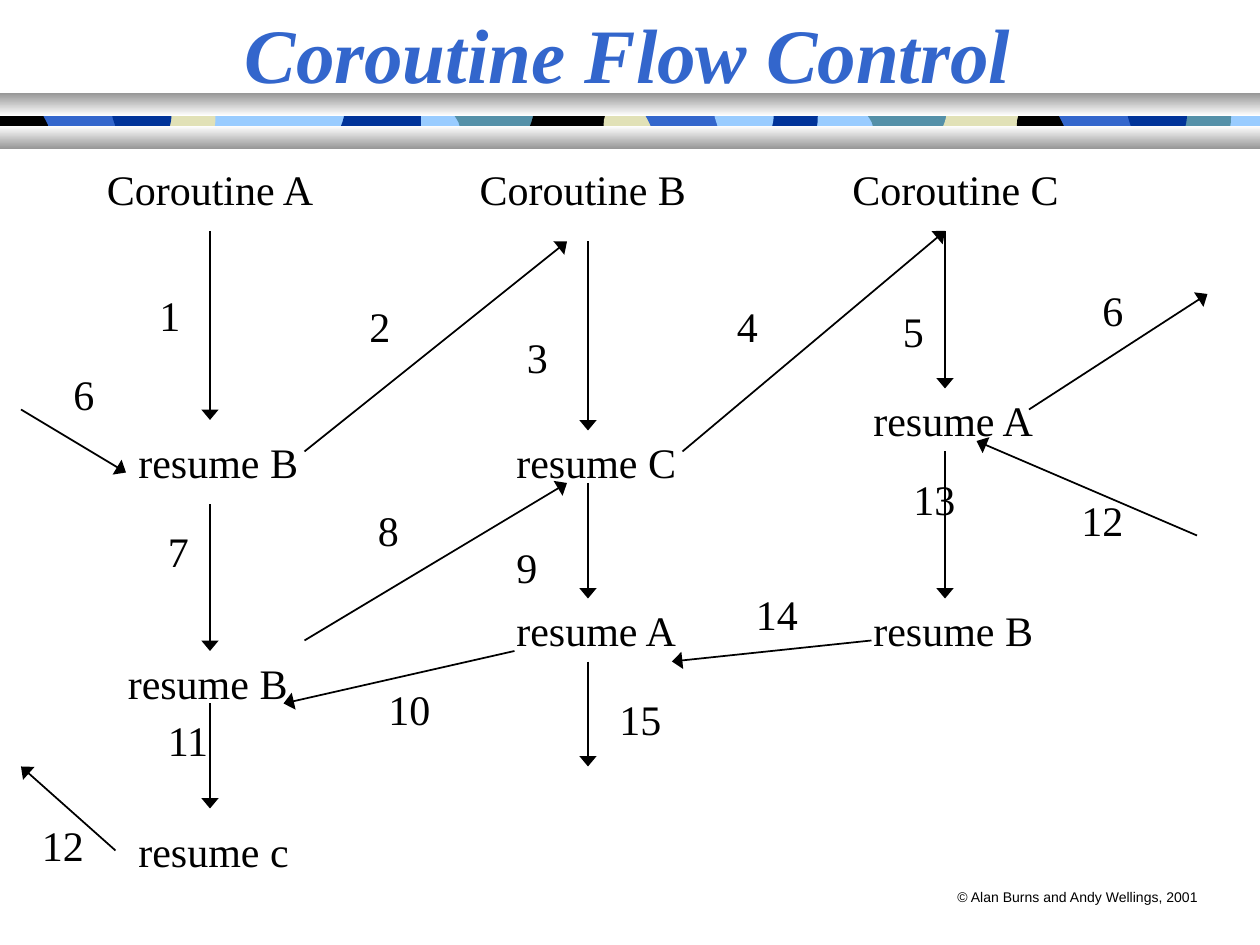
from typing import NamedTuple

from pptx import Presentation
from pptx.dml.color import RGBColor
from pptx.enum.shapes import MSO_CONNECTOR, MSO_SHAPE
from pptx.enum.text import MSO_ANCHOR, MSO_AUTO_SIZE, PP_ALIGN
from pptx.oxml.ns import qn
from pptx.util import Inches, Pt
from lxml.etree import SubElement

BLACK = RGBColor(0x00, 0x00, 0x00)
WHITE = RGBColor(0xFF, 0xFF, 0xFF)
GREY = RGBColor(0x98, 0x98, 0x98)
BLUE = RGBColor(0x33, 0x66, 0xCC)
NAVY = RGBColor(0x00, 0x33, 0x99)
SKY = RGBColor(0x99, 0xCC, 0xFF)
TEAL = RGBColor(0x54, 0x90, 0xA8)
SAND = RGBColor(0xE1, 0xE1, 0xB7)
SERIF = "Times New Roman"

# The slide is a grid of 120 columns and 90 rows
COLS, ROWS = 120, 90
WIDE, HIGH = Inches(10), Inches(7.5)


def grid_x(col: float) -> int:
    return round(WIDE * col / COLS)


def grid_y(row: float) -> int:
    return round(HIGH * row / ROWS)


class Label(NamedTuple):
    text: str
    col: float
    row: float
    width: float  # columns


class Arrow(NamedTuple):
    col: float
    row: float
    to_col: float
    to_row: float


HEAD, CALL = 22.1, 17.65
NAMES = [
    Label("Coroutine A", 9, 15, HEAD), Label("Coroutine B", 44.5, 15, HEAD),
    Label("Coroutine C", 80, 15, HEAD),
    Label("resume B", 12, 41, CALL), Label("resume B", 11, 62, CALL),
    Label("resume c", 12, 78, 16.7), Label("resume C", 48, 41, CALL),
    Label("resume A", 48, 57, CALL), Label("resume A", 82, 37, CALL),
    Label("resume B", 82, 57, CALL),
]

# Step number, column, row
STEPS = [
    (1, 14, 27), (2, 34, 28), (3, 49, 31), (4, 69, 28), (5, 84.8, 28.5),
    (6, 103.8, 26.5), (6, 5.8, 34.5), (7, 14.8, 49.5), (8, 34.8, 47.5),
    (9, 48, 51), (10, 35.8, 64.5), (11, 14.8, 67.5), (12, 2.8, 77.5),
    (12, 101.8, 46.5), (13, 85.8, 44.5), (14, 70.8, 55.5), (15, 57.8, 65.5),
]

ARROWS = [
    # Down each coroutine
    Arrow(20, 22, 20, 40), Arrow(20, 48, 20, 62), Arrow(20, 67, 20, 77),
    Arrow(56, 23, 56, 41), Arrow(56, 46, 56, 57), Arrow(56, 63, 56, 73),
    Arrow(90, 22, 90, 37), Arrow(90, 43, 90, 57),
    # From one coroutine to the next
    Arrow(29, 43, 54, 23), Arrow(65, 43, 90, 22), Arrow(98, 39, 115, 28),
    Arrow(2, 39, 12, 45), Arrow(29, 61, 54, 46), Arrow(49, 62, 27, 67),
    Arrow(11, 81, 2, 73), Arrow(114, 51, 93, 42), Arrow(83, 61, 64, 63),
]

# Tile outlines in inches: pairs are corners, sixes are Bezier curves
TOP, LOW = 0.85, 1.13
TILES = {
    "A": [(0.63, LOW), (0, LOW), (0.11, 0.94, -0.11, 0.9, 0, TOP), (0.63, TOP)],
    "B": [(1.22, LOW), (0.59, LOW), (0.49, 1.09, 0.67, 0.94, 0.59, TOP),
          (1.22, TOP)],
    "D": [(2.82, LOW), (2.49, LOW), (2.44, 1.09, 2.44, 0.9, 2.49, TOP),
          (2.82, TOP), (2.88, 0.87, 2.87, 0.91, 2.87, 0.96),
          (2.87, 1.01, 2.83, 1.1, 2.82, LOW)],
    "E": [(1.66, LOW), (1.23, LOW), (1.15, 1.09, 1.15, 0.9, 1.23, TOP),
          (1.66, TOP), (1.59, 1.03, 1.66, 1.07, 1.66, LOW)],
    "F": [(2.1, LOW), (1.48, LOW), (1.55, 1.09, 1.55, 1.07, 1.55, 1.03),
          (1.55, 0.98, 1.48, 0.9, 1.48, TOP), (2.1, TOP)],
    "G": [(2.49, LOW), (2.08, LOW), (2.01, 1.12, 2.08, 1.07, 2.08, 1.03),
          (2.08, 0.98, 2.01, 0.88, 2.08, TOP), (2.49, TOP),
          (2.56, 0.89, 2.49, 1.04, 2.49, 1.09)],
}

# Left offset, tile keys and their colours
BANDS = [
    (6.9, "ABDEFG", [TEAL, SAND, TEAL, BLACK, BLUE, NAVY]),
    (3.62, "ABDEFG", [TEAL, BLACK, NAVY, SAND, BLUE, SKY]),
    (2.12, "AB", [SKY, NAVY]),
    (-1.16, "DEFG", [SAND, BLACK, BLUE, NAVY]),
]


def trace(parts: list, left: float) -> list[tuple[int, int]]:
    """Turn corners and curves into points, squared off at the slide's edge."""
    pts = []
    for part in parts:
        if len(part) == 2:
            pts.append(part)
            continue
        x0, y0 = pts[-1]
        x1, y1, x2, y2, x3, y3 = part
        for step in range(1, 9):
            t = step / 8
            u = 1 - t
            a, b, c, d = u**3, 3 * u * u * t, 3 * u * t * t, t**3
            pts.append((a * x0 + b * x1 + c * x2 + d * x3,
                        a * y0 + b * y1 + c * y2 + d * y3))
    return [(Inches(x + left if x + left > 0.1 else 0), Inches(y)) for x, y in pts]


def add_tile(shapes, parts: list, left: float, color: RGBColor) -> None:
    first, *rest = trace(parts, left)
    form = shapes.build_freeform(*first, scale=1.0)
    form.add_line_segments(rest, close=True)
    tile = form.convert_to_shape()
    tile.shadow.inherit = False
    tile.fill.solid()
    tile.fill.fore_color.rgb = color
    tile.line.fill.background()


def add_bar(shapes, top: float, upper: RGBColor, lower: RGBColor) -> None:
    bar = shapes.add_shape(MSO_SHAPE.RECTANGLE, 0, Inches(top), WIDE, Inches(0.18))
    bar.shadow.inherit = False
    bar.line.fill.background()
    bar.fill.gradient()
    bar.fill.gradient_angle = 270
    for stop, color, place in zip(bar.fill.gradient_stops, (upper, lower), (0, 1)):
        stop.color.rgb = color
        stop.position = place


def add_run(par, text: str, size: float, font: str, color: RGBColor):
    run = par.add_run()
    run.text = text
    run.font.size = Pt(size)
    run.font.name = font
    run.font.color.rgb = color
    return run


def add_label(shapes, label: Label, high: float = 6, size: float = 24,
              font: str = SERIF) -> None:
    box = shapes.add_textbox(grid_x(label.col), grid_y(label.row),
                             grid_x(label.width), grid_y(high))
    frame = box.text_frame
    frame.word_wrap = False
    frame.auto_size = MSO_AUTO_SIZE.SHAPE_TO_FIT_TEXT
    add_run(frame.paragraphs[0], label.text, size, font, BLACK)


def add_arrow(shapes, arrow: Arrow) -> None:
    line = shapes.add_connector(
        MSO_CONNECTOR.STRAIGHT, grid_x(arrow.col), grid_y(arrow.row),
        grid_x(arrow.to_col), grid_y(arrow.to_row))
    line.line.color.rgb = BLACK
    line.line.width = Pt(1)
    SubElement(line.line._get_or_add_ln(), qn("a:tailEnd"),
               type="triangle", w="lg", len="med")
    SubElement(line._element.spPr, qn("a:effectLst"))


def main() -> None:
    deck = Presentation()
    deck.slide_width, deck.slide_height = WIDE, HIGH
    slide = deck.slides.add_slide(deck.slide_layouts[5])
    shapes = slide.shapes

    # Title
    title = shapes.title
    title.left, title.top = 0, 0
    title.width, title.height = Inches(9.97), Inches(0.83)
    frame = title.text_frame
    frame.auto_size = MSO_AUTO_SIZE.NONE
    frame.vertical_anchor = MSO_ANCHOR.MIDDLE
    par = frame.paragraphs[0]
    par.alignment = PP_ALIGN.CENTER
    run = add_run(par, "Coroutine Flow Control", 44, SERIF, BLUE)
    run.font.bold = run.font.italic = True

    # Mosaic strip between two shaded bars
    add_tile(shapes, [(10, LOW), (0.03, LOW), (0.03, TOP), (10, TOP)], 0, SKY)
    for left, keys, colors in BANDS:
        for key, color in zip(keys, colors):
            add_tile(shapes, TILES[key], left, color)
    add_bar(shapes, 0.74, GREY, WHITE)
    add_bar(shapes, 1, WHITE, GREY)

    # Flow diagram
    for label in NAMES:
        add_label(shapes, label)
    for num, col, row in STEPS:
        text = str(num)
        add_label(shapes, Label(text, col, row, 2.3 + 2.05 * len(text)))
    for arrow in ARROWS:
        add_arrow(shapes, arrow)

    # Copyright line
    add_label(shapes, Label("© Alan Burns and Andy Wellings, 2001", 90, 84, 25.4),
              2.8, 8, "Arial")
    deck.save("out.pptx")


if __name__ == "__main__":
    main()
